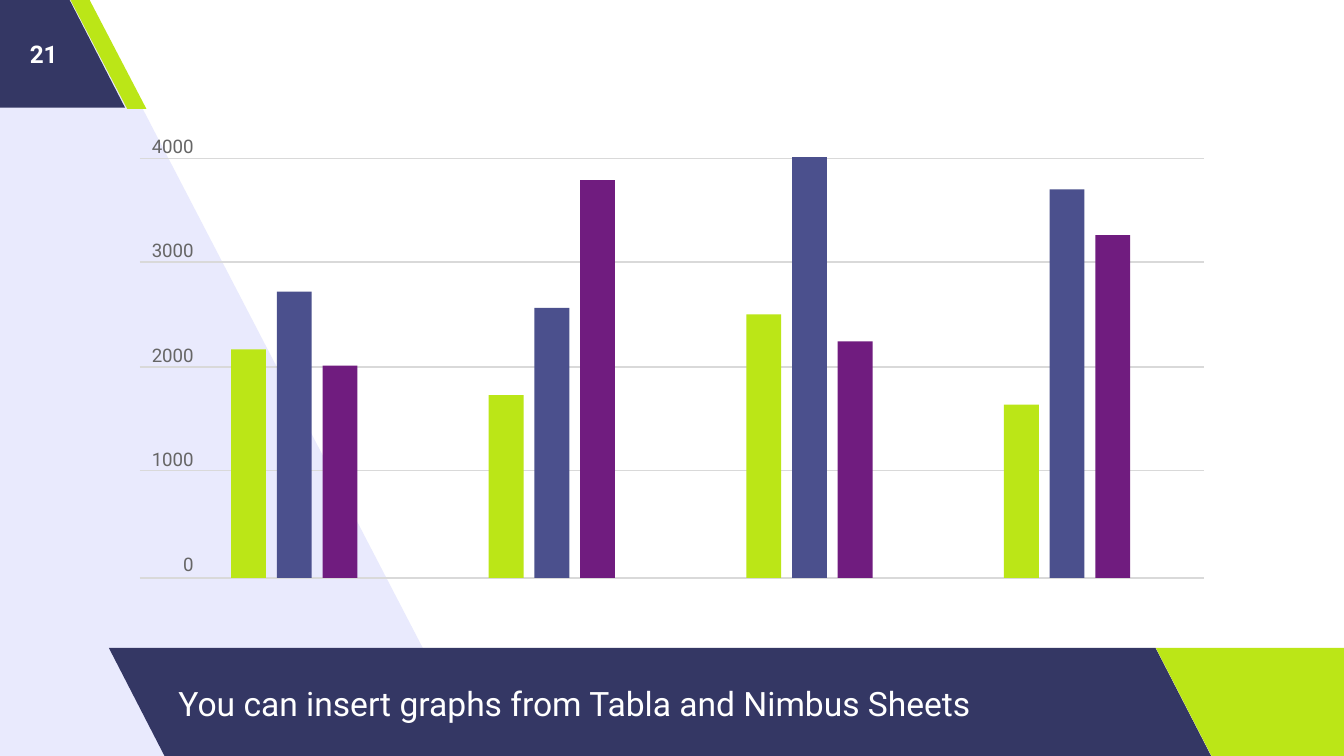
from lxml import etree
from pptx import Presentation
from pptx.dml.color import RGBColor as Rgb
from pptx.enum.shapes import MSO_CONNECTOR as Link, MSO_SHAPE as Kind
from pptx.enum.text import MSO_ANCHOR as Anchor, PP_ALIGN as Align
from pptx.oxml.ns import qn
from pptx.util import Inches, Pt

TITLE = "You can insert graphs from Tabla and Nimbus Sheets"
PAGE = "21"
TICKS = [("4000", 1.18), ("3000", 1.95), ("2000", 2.73), ("1000", 3.5), ("0", 4.3)]
GROUPS = [
    (1.7, 2.13, 1.58),
    (1.36, 2.01, 2.96),
    (1.96, 3.13, 1.76),
    (1.29, 2.89, 2.55),
]
WEDGE = [(3.56, 5.62), (0.62, -0.04), (-0.06, -0.04), (-0.02, 5.66)]
BANDS = [
    ((0.81, 4.82, 8.21, 0.82), 0.515, "navy"),
    ((8.6, 4.82, 1.92, 0.82), 0.515, "lime"),
    ((-0.99, -0.02, 1.92, 0.82), 0.515, "navy"),
    ((0.52, -0.01, 0.57, 0.82), 0.75, "lime"),
]

THEME = {
    "font": "Roboto",
    "navy": "343764", "lime": "BBE617", "blue": "4B508D", "plum": "701C7F",
    "pale": "E9EAFD", "grid": "D9D9D9", "gray": "666666", "white": "FFFFFF",
    "title": 18, "page": 13, "tick": 10,
}
SERIES = ["lime", "blue", "plum"]
WIDE = 10
HIGH = WIDE * 9 / 16
LEFT, RIGHT, BASE = 1.04, 8.96, 4.3
START, BAR = 1.72, 0.26
STEP, PITCH = 5.75 / 3, 0.34


def tone(name):
    return Rgb.from_string(THEME[name])


def apply(item, form):
    for key, value in form.items():
        setattr(item, key, value)


def paint(shape, name):
    shape.shadow.inherit = False
    shape.fill.solid()
    shape.fill.fore_color.rgb = tone(name)
    shape.line.fill.background()


def block(slide, kind, area, name):
    shape = slide.shapes.add_shape(kind, *map(Inches, area))
    paint(shape, name)
    return shape


def write(slide, area, lines, size, color, pad=0, bold=False, gap=0, **form):
    frame = slide.shapes.add_textbox(*map(Inches, area)).text_frame
    sides = ("margin_left", "margin_top", "margin_right", "margin_bottom")
    apply(frame, {"word_wrap": True, **dict.fromkeys(sides, Inches(pad)), **form})
    for i, line in enumerate(lines):
        para = frame.add_paragraph() if i else frame.paragraphs[0]
        para.text = line
        if i:
            para.space_before = Pt(gap)
        apply(para.font, {"name": THEME["font"], "size": Pt(THEME[size]), "bold": bold})
        para.font.color.rgb = tone(color)
    return frame


def rule(slide, y):
    line = slide.shapes.add_connector(
        Link.STRAIGHT, Inches(LEFT), Inches(y), Inches(RIGHT), Inches(y))
    line.line.color.rgb = tone("grid")
    line.line.width = Pt(0.75)
    etree.SubElement(line._element.spPr, qn("a:effectLst"))


def frame_slide(slide):
    spots = [(Inches(x), Inches(y)) for x, y in WEDGE]
    path = slide.shapes.build_freeform(*spots[0])
    path.add_line_segments(spots[1:], close=True)
    paint(path.convert_to_shape(), "pale")
    for area, slant, name in BANDS:
        band = block(slide, Kind.PARALLELOGRAM, area, name)
        band.adjustments[0] = slant
        band._element.spPr.find(qn("a:xfrm")).set("flipH", "1")
    write(slide, (1.23, 4.82, 7.37, 0.82), [TITLE], "title", "white",
          pad=0.1, vertical_anchor=Anchor.MIDDLE)
    page = write(slide, (0, 0, 0.65, 0.8), [PAGE], "page", "white",
                 pad=0.1, bold=True, vertical_anchor=Anchor.MIDDLE)
    page.paragraphs[0].alignment = Align.CENTER


def plot(slide):
    for _, y in TICKS:
        rule(slide, y)
    axis = write(slide, (LEFT, 1, 0.4, 3.31), [label for label, _ in TICKS],
                 "tick", "gray", gap=44)
    for para in axis.paragraphs:
        para.alignment = Align.RIGHT
    for i, group in enumerate(GROUPS):
        for j, (tall, name) in enumerate(zip(group, SERIES)):
            x = START + i * STEP + j * PITCH
            block(slide, Kind.RECTANGLE, (x, BASE - tall, BAR, tall), name)


def main():
    deck = Presentation()
    apply(deck, {"slide_width": Inches(WIDE), "slide_height": Inches(HIGH)})
    slide = deck.slides.add_slide(deck.slide_layouts[6])
    frame_slide(slide)
    plot(slide)
    deck.save("out.pptx")


if __name__ == "__main__":
    main()
